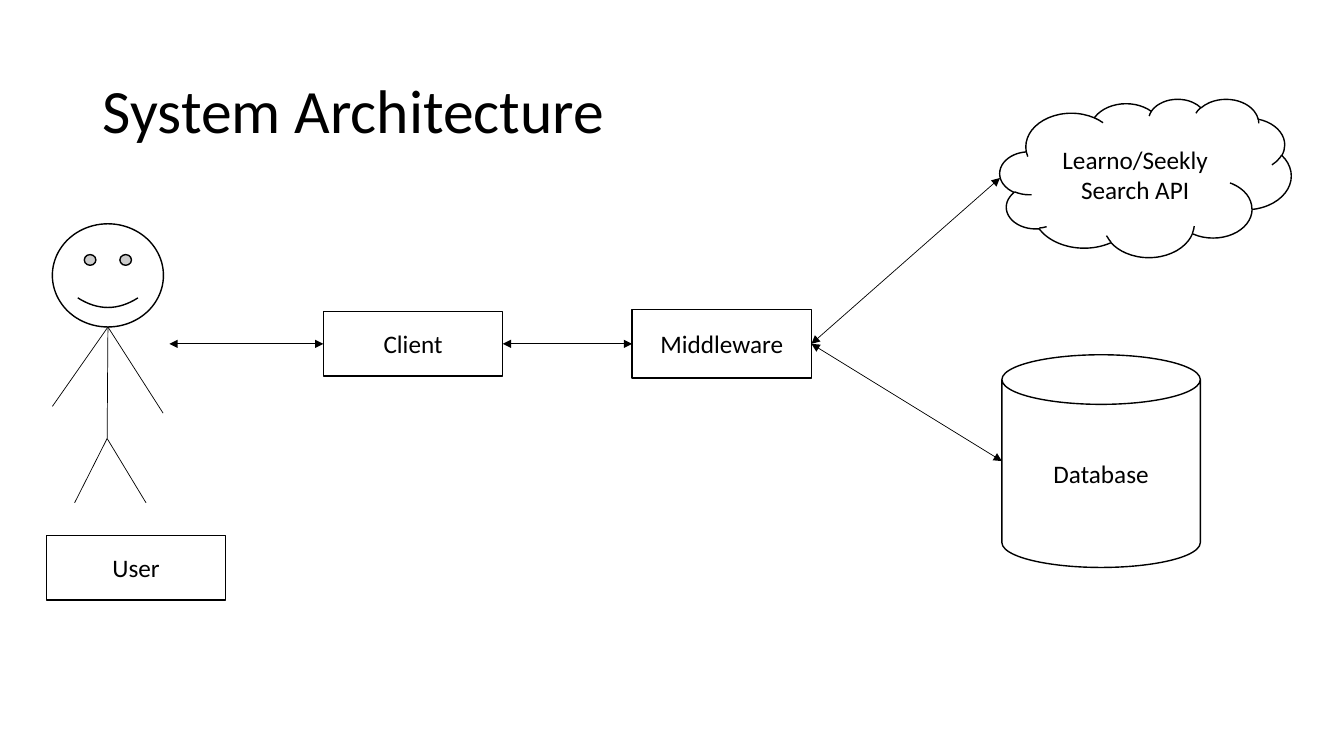
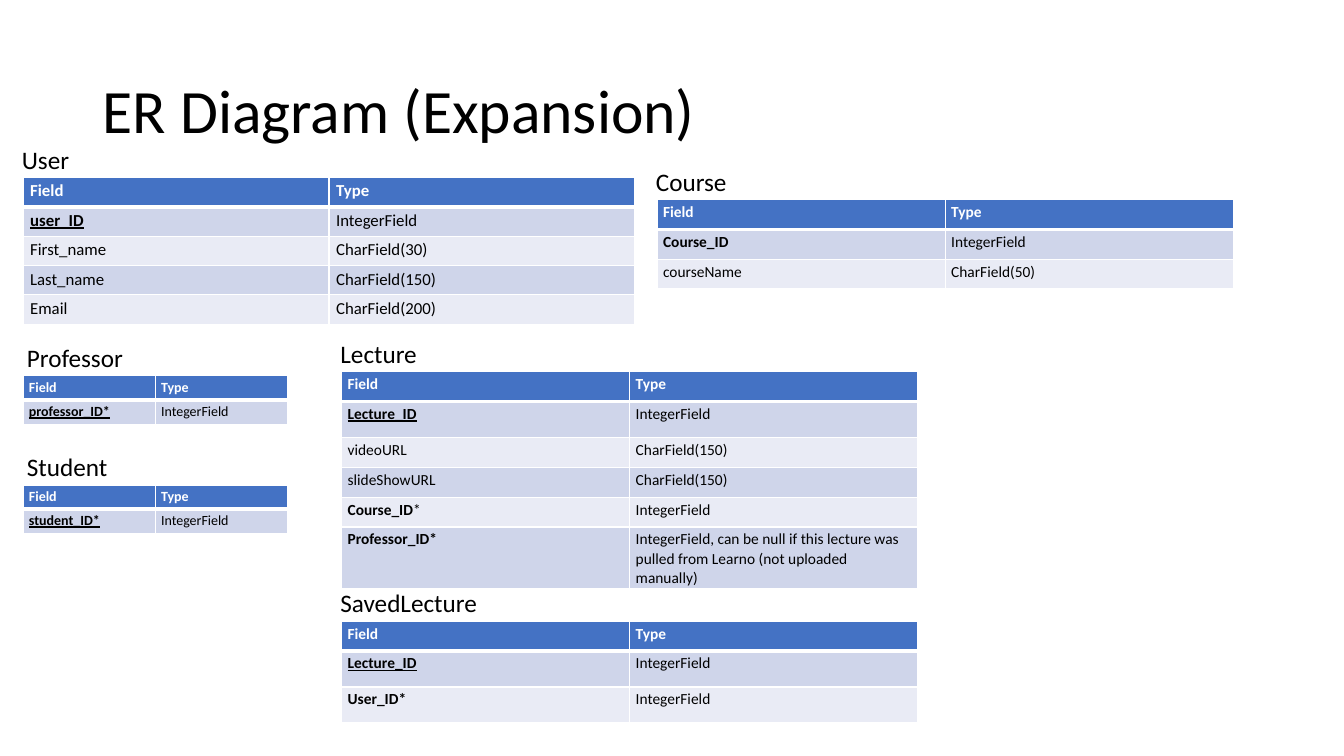
from lxml import etree
from pptx import Presentation
from pptx.dml.color import RGBColor
from pptx.enum import shapes, text
from pptx.oxml import ns
from pptx.util import Cm, Pt

BLACK, WHITE = "000000", "FFFFFF"
KEY = dict(bold=True, underline=True)
REF = dict(bold=True)


def color(value):
    return RGBColor.from_string(value)


def add_xml(parent, tag, **attrs):
    return etree.SubElement(parent, ns.qn(tag), attrs)


def write(tf, content, size=18, col=BLACK, align=None, spacing=None,
          anchor=text.MSO_ANCHOR.TOP, **style):
    """Fill a text frame; content is text or a list of (text, style) runs."""
    tf.word_wrap = True
    tf.vertical_anchor = anchor
    lines = content.split("\n") if isinstance(content, str) else [content]
    for i, line in enumerate(lines):
        p = tf.add_paragraph() if i else tf.paragraphs[0]
        p.alignment, p.line_spacing = align, spacing
        for part, own in [(line, {})] if isinstance(line, str) else line:
            r = p.add_run()
            r.text = part
            r.font.name, r.font.size = Deck.font, Pt(size)
            r.font.color.rgb = color(col)
            for name, value in {**style, **own}.items():
                setattr(r.font, name, value)


def left_mid(sp):
    return sp.left.cm, (sp.top + sp.height / 2) / Cm(1)


def right_mid(sp):
    return (sp.left + sp.width) / Cm(1), left_mid(sp)[1]


class Deck:
    font = "Calibri"
    header, bands = "4472C4", ("CFD5EA", "E9EBF5")

    def __init__(self):
        self.prs = Presentation()
        self.prs.slide_width, self.prs.slide_height = Cm(33.87), Cm(19.05)

    def new_slide(self, title):
        self.slide = self.prs.slides.add_slide(self.prs.slide_layouts[6])
        self.textbox(title, 2.34, 1.02, 29.21, 3.68, size=44, spacing=0.9,
                     anchor=text.MSO_ANCHOR.MIDDLE)

    def textbox(self, content, x, y, w, h, **fmt):
        sp = self.slide.shapes.add_textbox(Cm(x), Cm(y), Cm(w), Cm(h))
        write(sp.text_frame, content, **fmt)

    def shape(self, kind, x, y, w, h, label="", fill=None):
        sp = self.slide.shapes.add_shape(kind, Cm(x), Cm(y), Cm(w), Cm(h))
        sp.shadow.inherit = False
        if fill:
            sp.fill.solid()
            sp.fill.fore_color.rgb = color(fill)
        else:
            sp.fill.background()
        sp.line.color.rgb, sp.line.width = color(BLACK), Pt(1)
        if label:
            write(sp.text_frame, label, align=text.PP_ALIGN.CENTER,
                  anchor=text.MSO_ANCHOR.MIDDLE)
        return sp

    def line(self, start, end, arrows=False):
        sp = self.slide.shapes.add_connector(
            shapes.MSO_CONNECTOR.STRAIGHT, *map(Cm, start + end))
        sp.line.color.rgb, sp.line.width = color(BLACK), Pt(0.5)
        if arrows:
            ln = sp.line._get_or_add_ln()
            for tag in ("a:headEnd", "a:tailEnd"):
                add_xml(ln, tag, type="triangle")
        add_xml(sp._element.spPr, "a:effectLst")

    def cell(self, cell, content, fill, margins, top=1, bottom=1, **fmt):
        cell.margin_left = cell.margin_right = Cm(margins[0])
        cell.margin_top = cell.margin_bottom = Cm(margins[1])
        write(cell.text_frame, content, **fmt)
        tc_pr = cell._tc.get_or_add_tcPr()
        for side, width in zip("LRTB", (1, 1, top, bottom)):
            ln = add_xml(tc_pr, "a:ln" + side, w=str(Pt(width)))
            add_xml(add_xml(ln, "a:solidFill"), "a:srgbClr", val=WHITE)
        cell.fill.solid()
        cell.fill.fore_color.rgb = color(fill)

    def entity(self, name, x, y, col_w, heights, size, fields, label_dx=-0.28):
        """A named table of fields: (name, type) or (name, type, name style)."""
        frame = self.slide.shapes.add_table(
            len(heights), 2, Cm(x), Cm(y), Cm(2 * col_w), Cm(sum(heights)))
        tbl = frame.table
        tbl.horz_banding = False
        margins = (0.18, 0.09) if size == 12 else (0.15, 0.08)
        for col in tbl.columns:
            col.width = Cm(col_w)
        for row, height in zip(tbl.rows, heights):
            row.height = Cm(height)
        for c, heading in enumerate(("Field", "Type")):
            self.cell(tbl.cell(0, c), heading, self.header, margins,
                      bottom=3, size=size, col=WHITE, bold=True)
        for r, (field, kind, *style) in enumerate(fields, 1):
            fill = self.bands[(r - 1) % 2]
            top = 3 if r == 1 else 1
            self.cell(tbl.cell(r, 0), field, fill, margins, top, size=size,
                      **(style[0] if style else {}))
            self.cell(tbl.cell(r, 1), kind, fill, margins, top, size=size)
        self.textbox(name, x + label_dx, y - 0.97, 5.9, 1.02)


def architecture(deck):
    deck.new_slide("System Architecture")
    kinds = shapes.MSO_SHAPE

    # Stick figure
    deck.shape(kinds.SMILEY_FACE, 1.32, 5.64, 2.8, 2.6, fill=WHITE)
    neck, hip = (2.72, 8.24), (2.7, 11.05)
    for start, end in ((neck, hip), (hip, (3.68, 12.67)), (hip, (1.88, 12.67)),
                       (neck, (4.11, 10.41)), (neck, (1.32, 10.24))):
        deck.line(start, end)

    # Components
    deck.shape(kinds.RECTANGLE, 1.17, 13.49, 4.52, 1.63, "User")
    client = deck.shape(kinds.RECTANGLE, 8.15, 7.85, 4.52, 1.63, "Client")
    middle = deck.shape(kinds.RECTANGLE, 15.93, 7.8, 4.52, 1.73, "Middleware")
    cloud = deck.shape(kinds.CLOUD, 25.2, 2.49, 7.34, 3.99,
                       "Learno/Seekly\nSearch API")
    database = deck.shape(kinds.CAN, 25.25, 8.94, 5, 5.36, "Database")

    # Data flow
    for start, end in ((left_mid(client), (4.27, left_mid(client)[1])),
                       (right_mid(client), left_mid(middle)),
                       (right_mid(middle), left_mid(database)),
                       (right_mid(middle), left_mid(cloud))):
        deck.line(start, end, arrows=True)


def er_diagram(deck):
    deck.new_slide("ER Diagram (Expansion)")
    number = "IntegerField"

    # People
    deck.entity("User", 0.58, 4.47, 7.71, [0.74] * 5, 12, [
        ("user_ID", number, KEY),
        ("First_name", "CharField(30)"),
        ("Last_name", "CharField(150)"),
        ("Email", "CharField(200)")])
    for name, y in (("Professor", 9.47), ("Student", 12.22)):
        deck.entity(name, 0.58, y, 3.33, [0.61] * 2, 10,
                    [(name.lower() + "_ID*", number, KEY)], label_dx=-0.15)

    # Courses and lectures
    deck.entity("Course", 16.56, 5.03, 7.26, [0.75] * 3, 11, [
        ("Course_ID", number, REF),
        ("courseName", "CharField(50)")])
    deck.entity("Lecture", 8.61, 9.37, 7.26, [0.75, 0.91] + [0.75] * 4, 11, [
        ("Lecture_ID", number, KEY),
        ("videoURL", "CharField(150)"),
        ("slideShowURL", "CharField(150)"),
        ([("Course_ID", REF), ("*", {})], number),
        ("Professor_ID*", "IntegerField, can be null if this lecture was "
         "pulled from Learno (not uploaded manually)", REF)])
    deck.entity("SavedLecture", 8.61, 15.65, 7.26, [0.75, 0.91, 0.91], 11, [
        ("Lecture_ID", number, KEY),
        ("User_ID*", number, REF)])


def main():
    deck = Deck()
    architecture(deck)
    er_diagram(deck)
    deck.prs.save("out.pptx")


if __name__ == "__main__":
    main()
